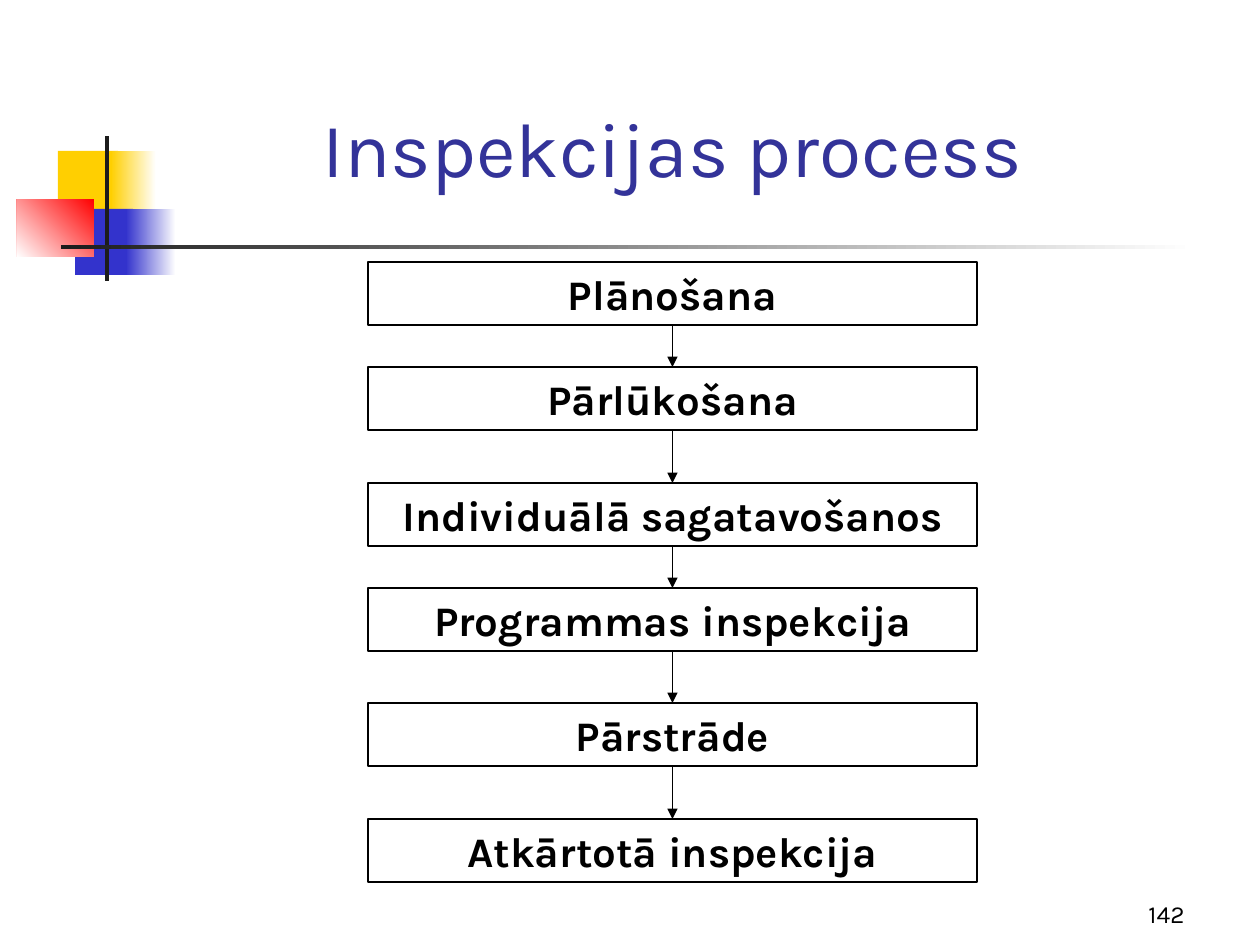
from itertools import pairwise

from lxml.etree import SubElement
from pptx import Presentation
from pptx.dml.color import RGBColor
from pptx.enum.shapes import MSO_CONNECTOR, MSO_SHAPE
from pptx.enum.text import MSO_ANCHOR as ANCHOR, MSO_AUTO_SIZE, PP_ALIGN as ALIGN
from pptx.oxml.ns import qn
from pptx.util import Pt

PX = 914400 / 126
FONT = "Karla"
WHITE = RGBColor(0xFF, 0xFF, 0xFF)
BLACK = RGBColor(0, 0, 0)
YELLOW = RGBColor(0xFF, 0xCF, 0x01)
BLUE = RGBColor(0x33, 0x33, 0xCC)
RED = RGBColor(0xFF, 0, 0)
DARK = RGBColor(0x1C, 0x1C, 0x1C)
INDIGO = RGBColor(0x33, 0x33, 0x99)

STEPS = [
    ("Plānošana", 0),
    ("Pārlūkošana", 105),
    ("Individuālā sagatavošanos", 221),
    ("Programmas inspekcija", 326),
    ("Pārstrāde", 441),
    ("Atkārtotā inspekcija", 557),
]


def px(*values):
    """Turn pixel lengths into EMU."""
    return [round(v * PX) for v in values]


def add_rect(s, x, y, w, h):
    """Add a plain rectangle without shadow."""
    sp = s.shapes.add_shape(MSO_SHAPE.RECTANGLE, *px(x, y, w, h))
    sp.shadow.inherit = False
    return sp


def write(sp, text, size, color, align, anchor, bold=False):
    """Put one formatted paragraph into a shape."""
    tf = sp.text_frame
    tf.word_wrap = True
    tf.auto_size = MSO_AUTO_SIZE.NONE
    tf.vertical_anchor = anchor
    p = tf.paragraphs[0]
    p.text = text
    p.alignment = align
    p.font.name = FONT
    p.font.size = Pt(size)
    p.font.bold = bold
    p.font.color.rgb = color


def add_ornament(s, x, y):
    """Draw the coloured squares and crossing bars."""
    parts = [
        (41, 15, 60, 65, [YELLOW], 0),
        (94, 15, 45, 65, [WHITE, YELLOW], 180),
        (58, 73, 58, 66, [BLUE], 0),
        (109, 73, 50, 66, [WHITE, BLUE], 180),
        (0, 63, 77, 58, [RED, WHITE], 225),
        (88, 0, 4, 145, [DARK], 0),
        (44, 109, 1134, 4, [WHITE, DARK], 180),
    ]
    for dx, dy, w, h, colors, angle in parts:
        sp = add_rect(s, x + dx, y + dy, w, h)
        sp.line.fill.background()
        if len(colors) == 1:
            sp.fill.solid()
            sp.fill.fore_color.rgb = colors[0]
        else:
            sp.fill.gradient()
            sp.fill.gradient_angle = angle
            for stop, color in zip(sp.fill.gradient_stops, colors):
                stop.color.rgb = color


def add_title(s, x, y, w, h):
    """Place and format the title placeholder."""
    title = s.shapes.title
    title.left, title.top, title.width, title.height = px(x, y, w, h)
    write(title, "Inspekcijas process", 44, INDIGO, ALIGN.CENTER, ANCHOR.BOTTOM)


def add_arrow(s, start, end):
    """Join the bottom of one box to the top of the next."""
    cxn = s.shapes.add_connector(MSO_CONNECTOR.STRAIGHT, 0, 0, 0, 0)
    cxn.begin_connect(start, 2)
    cxn.end_connect(end, 0)
    cxn.line.color.rgb = BLACK
    cxn.line.width = Pt(0.75)
    SubElement(cxn.line._get_or_add_ln(), qn("a:tailEnd"), type="triangle")
    SubElement(cxn._element.spPr, qn("a:effectLst"))


def add_flow(s, x, y, w, box_h):
    """Stack the process steps and link them with arrows."""
    boxes = []
    for text, dy in STEPS:
        sp = add_rect(s, x, y + dy, w, box_h)
        sp.fill.background()
        sp.line.color.rgb = BLACK
        sp.line.width = Pt(1.5)
        write(sp, text, 24, BLACK, ALIGN.CENTER, ANCHOR.MIDDLE, True)
        boxes.append(sp)
    for start, end in pairwise(boxes):
        add_arrow(s, start, end)


def add_number(s, x, y, w, h):
    """Add the page number."""
    box = s.shapes.add_textbox(*px(x, y, w, h))
    write(box, "142", 14, BLACK, ALIGN.RIGHT, ANCHOR.BOTTOM)


def main():
    """Build and save the slide."""
    prs = Presentation()
    prs.slide_width, prs.slide_height = px(1260, 945)
    s = prs.slides.add_slide(prs.slide_layouts[5])
    add_ornament(s, 17, 136)
    add_title(s, 136, 42, 1074, 157)
    add_flow(s, 368, 262, 609, 63)
    add_number(s, 935, 872, 262, 63)
    prs.save("out.pptx")


if __name__ == "__main__":
    main()
